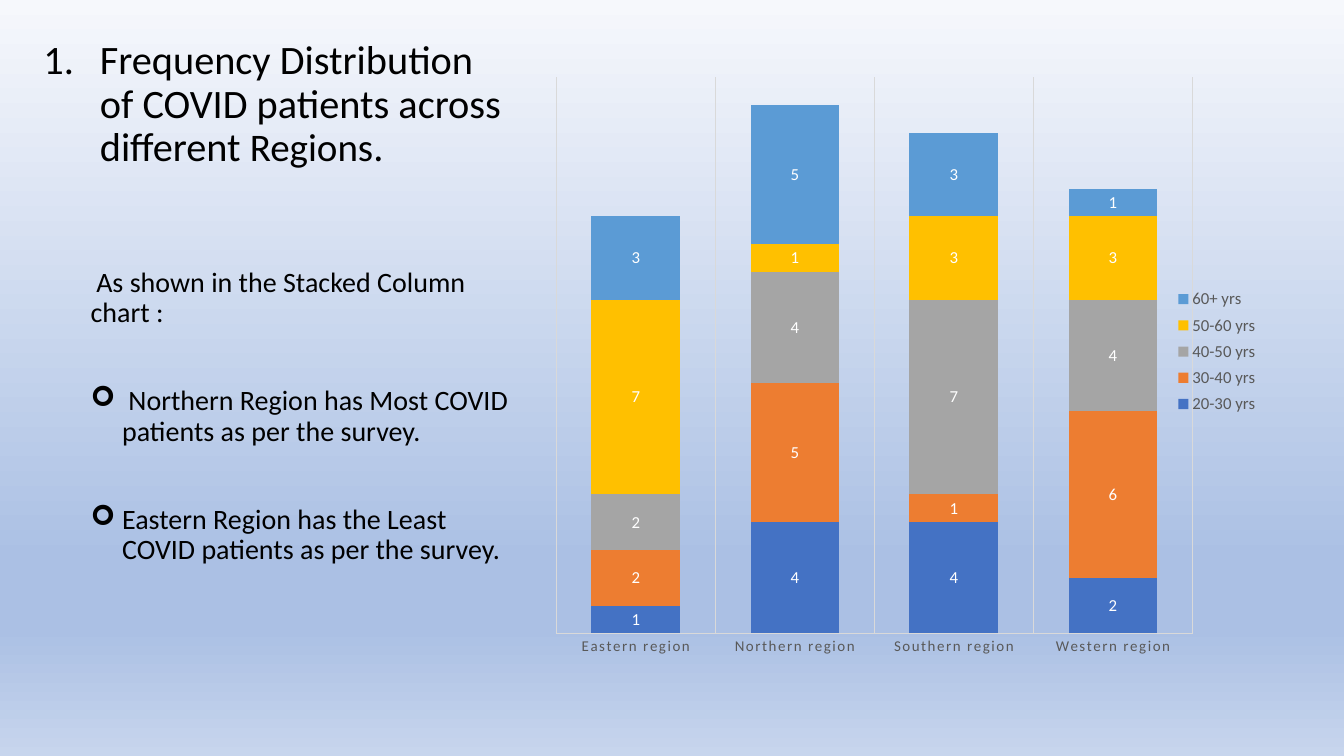
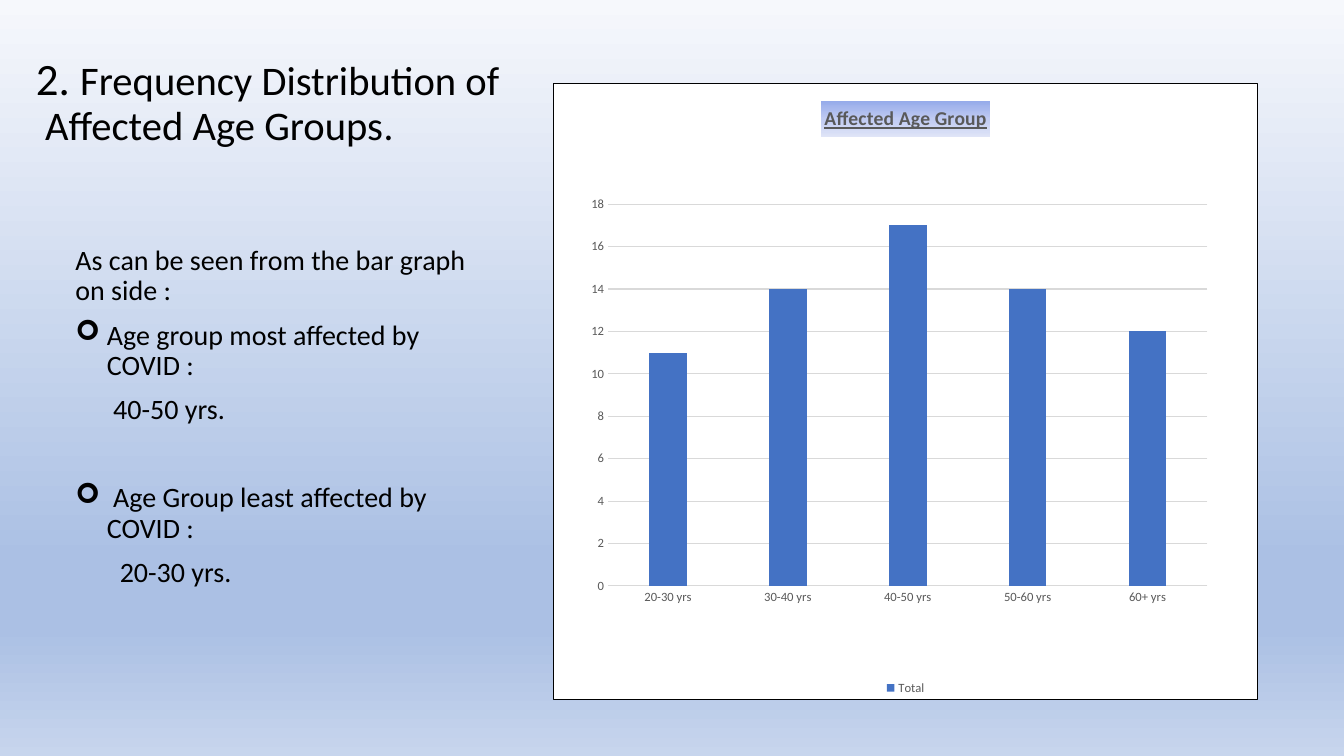
from dataclasses import dataclass
from typing import NamedTuple

from lxml import etree
from pptx import Presentation
from pptx.chart.data import CategoryChartData
from pptx.dml.color import RGBColor
from pptx.enum.chart import XL_CHART_TYPE, XL_LABEL_POSITION, XL_LEGEND_POSITION, XL_TICK_MARK
from pptx.enum.text import MSO_ANCHOR, MSO_AUTO_SIZE, PP_ALIGN
from pptx.oxml import parse_xml
from pptx.oxml.ns import nsdecls, qn
from pptx.util import Pt

STACKED = XL_CHART_TYPE.COLUMN_STACKED
CLUSTERED = XL_CHART_TYPE.COLUMN_CLUSTERED
LABEL_CENTER = XL_LABEL_POSITION.CENTER
LEGEND_RIGHT = XL_LEGEND_POSITION.RIGHT
LEGEND_BOTTOM = XL_LEGEND_POSITION.BOTTOM
NO_TICK = XL_TICK_MARK.NONE
LEFT = PP_ALIGN.LEFT
TOP, BOTTOM = MSO_ANCHOR.TOP, MSO_ANCHOR.BOTTOM
NO_AUTOFIT = MSO_AUTO_SIZE.NONE

FONT, BULLET_FONT = "Calibri", "Wingdings"
BLACK, WHITE, GRAY, RULE = "000000", "FFFFFF", "595959", "D9D9D9"
SERIES_COLORS = ("4472C4", "ED7D31", "A5A5A5", "FFC000", "5B9BD5")
BACKGROUND = ((0, "F6F8FC"), (74, "ABC0E4"), (83, "ABC0E4"), (100, "C7D5ED"))
TITLE_BAND = ((0, "96ABEA"), (50, "C0CBF2"), (100, "E0E5F7"))
AGES = ("20-30 yrs", "30-40 yrs", "40-50 yrs", "50-60 yrs", "60+ yrs")
REGIONS = ("Eastern region", "Northern region", "Southern region", "Western region")
ARROW, HANG, GAP = "➢", 22.5, 41.5


class Box(NamedTuple):
    """Left, top, width and height, in points or in fractions of a chart."""
    left: float
    top: float
    width: float
    height: float


class Run(NamedTuple):
    text: str
    size: float = 20


@dataclass(frozen=True)
class Line:
    """A paragraph; before, left and hang are points."""
    runs: tuple[Run, ...]
    before: float = 10
    left: float = 0
    hang: float = 0
    bullet: str = ""


def rgb(color: str) -> RGBColor:
    return RGBColor.from_string(color)


def set_font(font, size: float, color: str, bold: bool = False, underline: bool = False) -> None:
    font.name, font.size = FONT, Pt(size)
    font.bold, font.underline = bold, underline
    font.color.rgb = rgb(color)


def set_gradient(fill, element, stops) -> None:
    """Fill top to bottom; element holds the gradient's XML."""
    fill.gradient()
    fill.gradient_angle = 270
    gs_list = element.find(".//" + qn("a:gsLst"))
    for gs in list(gs_list):
        gs_list.remove(gs)
    for pos, color in stops:
        gs = etree.SubElement(gs_list, qn("a:gs"), pos=str(pos * 1000))
        etree.SubElement(gs, qn("a:srgbClr"), val=color)


def add_text(p, text: str, *, size: float, color: str = BLACK, **style) -> None:
    """Append text to a paragraph; a newline becomes a line break."""
    for i, part in enumerate(text.split("\n")):
        if i:
            p.add_line_break()
        r = p.add_run()
        r.text = part
        set_font(r.font, size, color, **style)


def fill_text(sp, box: Box, lines: tuple[Line, ...], anchor) -> None:
    sp.left, sp.top, sp.width, sp.height = map(Pt, box)
    tf = sp.text_frame
    tf.word_wrap, tf.auto_size, tf.vertical_anchor = True, NO_AUTOFIT, anchor
    for i, line in enumerate(lines):
        p = tf.add_paragraph() if i else tf.paragraphs[0]
        p.alignment, p.line_spacing, p.space_before = LEFT, 0.9, Pt(line.before)
        ppr = p._p.get_or_add_pPr()
        ppr.set("marL", str(Pt(line.left + line.hang)))
        ppr.set("indent", str(Pt(-line.hang)))
        if line.bullet == "1.":
            etree.SubElement(ppr, qn("a:buAutoNum"), type="arabicPeriod")
        elif line.bullet:
            etree.SubElement(ppr, qn("a:buFont"), typeface=BULLET_FONT)
            etree.SubElement(ppr, qn("a:buChar"), char=line.bullet)
        for run in line.runs:
            add_text(p, run.text, size=run.size)


def add_text_slide(prs, title_box: Box, title: Line, body_box: Box, body: tuple[Line, ...]):
    s = prs.slides.add_slide(prs.slide_layouts[5])
    fill_text(s.shapes.title, title_box, (title,), BOTTOM)
    fill_text(s.shapes.add_textbox(0, 0, 0, 0), body_box, body, TOP)
    return s


def set_layout(chart, tag: str, area: Box) -> None:
    """Place the plot area or the legend, in fractions of the chart."""
    part = chart.element.find(".//" + qn(tag))
    for old in part.findall(qn("c:layout")):
        part.remove(old)
    layout = etree.Element(qn("c:layout"))
    manual = etree.SubElement(layout, qn("c:manualLayout"))
    is_plot = tag == "c:plotArea"
    settings = [("layoutTarget", "inner")] if is_plot else []
    settings += [("xMode", "edge"), ("yMode", "edge"), *zip("xywh", area)]
    for name, value in settings:
        etree.SubElement(manual, qn("c:" + name), val=str(value))
    part.insert(0 if is_plot else 1, layout)


def set_frame(chart, fill: str = "", line: str = "") -> None:
    """Colour the chart's ground and border; an empty colour means none."""
    def paint(color: str) -> str:
        return f'<a:solidFill><a:srgbClr val="{color}"/></a:solidFill>' if color else "<a:noFill/>"

    chart.element.find(qn("c:chart")).addnext(parse_xml(
        f'<c:spPr {nsdecls("c", "a")}>{paint(fill)}'
        f'<a:ln w="{Pt(0.75)}">{paint(line)}</a:ln></c:spPr>'))


def set_rule(line) -> None:
    line.color.rgb, line.width = rgb(RULE), Pt(0.75)


def add_column_chart(s, kind, box: Box, area: Box, categories, series, *, gap: int, maximum: int,
                     legend, legend_size: float, axis_size: float):
    data = CategoryChartData()
    data.categories = categories
    for name, values in series:
        data.add_series(name, values)
    chart = s.shapes.add_chart(kind, *map(Pt, box), data).chart
    set_font(chart.font, 10, BLACK)
    chart.has_title = False
    chart.has_legend = True
    chart.legend.position, chart.legend.include_in_layout = legend, False
    set_font(chart.legend.font, legend_size, GRAY)
    plot = chart.plots[0]
    plot.gap_width, plot.vary_by_categories = gap, False
    for one, color in zip(plot.series, SERIES_COLORS):
        one.format.fill.solid()
        one.format.fill.fore_color.rgb = rgb(color)
    for axis in (chart.category_axis, chart.value_axis):
        axis.major_tick_mark = axis.minor_tick_mark = NO_TICK
        set_font(axis.tick_labels.font, axis_size, GRAY)
    set_rule(chart.category_axis.format.line)
    chart.value_axis.minimum_scale, chart.value_axis.maximum_scale = 0, maximum
    chart.value_axis.format.line.fill.background()
    set_layout(chart, "c:plotArea", area)
    return chart


def add_regions_slide(prs) -> None:
    title = Line((Run("Frequency Distribution of COVID patients across different ", 28.8),
                  Run("Regions", 27.9), Run(".", 28.8)), before=0, hang=40.3, bullet="1.")
    body = (
        Line((Run(" ", 18), Run("As shown in the Stacked Column chart :")), before=0),
        Line((Run(" Northern Region has Most COVID patients as per the survey."),),
             before=GAP, hang=HANG, bullet=ARROW),
        Line((Run("Eastern Region has the Least COVID patients as per the survey."),),
             before=GAP, hang=HANG, bullet=ARROW),
    )
    s = add_text_slide(prs, Box(23.8, 13, 352, 112.3), title, Box(57.6, 188, 318.2, 272), body)
    counts = ((1, 4, 4, 2), (2, 5, 1, 6), (2, 4, 7, 4), (7, 1, 3, 3), (3, 5, 3, 1))
    chart = add_column_chart(
        s, STACKED, Box(391.3, 36.9, 511.2, 446.4), Box(0.012, 0.041, 0.889, 0.89),
        REGIONS, zip(AGES, counts), gap=79, maximum=20,
        legend=LEGEND_RIGHT, legend_size=12, axis_size=10.64)
    set_frame(chart)
    set_layout(chart, "c:legend", Box(0.87, 0.37, 0.13, 0.22))
    plot = chart.plots[0]
    plot.overlap = 100
    plot.has_data_labels = True
    labels = plot.data_labels
    labels.show_value, labels.position = True, LABEL_CENTER
    set_font(labels.font, 12, WHITE)
    chart.value_axis.visible = False
    chart.value_axis.has_major_gridlines = False
    chart.category_axis.has_major_gridlines = True
    set_rule(chart.category_axis.major_gridlines.format.line)
    for props in chart.element.xpath(".//c:catAx//a:defRPr"):
        props.set("kern", "1200")
        props.set("spc", "120")


def add_ages_slide(prs) -> None:
    title = Line((Run("2. ", 32), Run("Frequency Distribution of\n Affected Age Groups", 29),
                  Run(".", 28)), before=0)
    body = (
        Line((Run("As can be seen from the bar graph on side :"),), before=0),
        Line((Run("Age group most affected by COVID :"),), hang=HANG, bullet=ARROW),
        Line((Run("40-50 yrs."),), left=27),
        Line((Run(" Age Group least affected by COVID :"),), before=GAP, hang=HANG, bullet=ARROW),
        Line((Run("20-30 yrs."),), left=31.7),
    )
    s = add_text_slide(prs, Box(18.5, 15.3, 376.6, 95), title, Box(46.8, 172.4, 309.6, 300), body)
    chart = add_column_chart(
        s, CLUSTERED, Box(395.3, 59.3, 503.3, 440.6), Box(0.077, 0.196, 0.852, 0.62),
        AGES, [("Total", (11, 14, 17, 14, 12))], gap=219, maximum=18,
        legend=LEGEND_BOTTOM, legend_size=9, axis_size=9)
    set_frame(chart, WHITE, BLACK)
    chart.value_axis.major_unit = 2
    set_rule(chart.value_axis.major_gridlines.format.line)
    chart.has_title = True
    heading = chart.chart_title
    add_text(heading.text_frame.paragraphs[0], "Affected Age Group",
             size=14, color=GRAY, bold=True, underline=True)
    set_gradient(heading.format.fill, heading.element, TITLE_BAND)


def main() -> None:
    prs = Presentation()
    prs.slide_width, prs.slide_height = Pt(960), Pt(540)
    master = prs.slide_master
    set_gradient(master.background.fill, master.element, BACKGROUND)
    add_regions_slide(prs)
    add_ages_slide(prs)
    prs.save("out.pptx")


if __name__ == "__main__":
    main()
